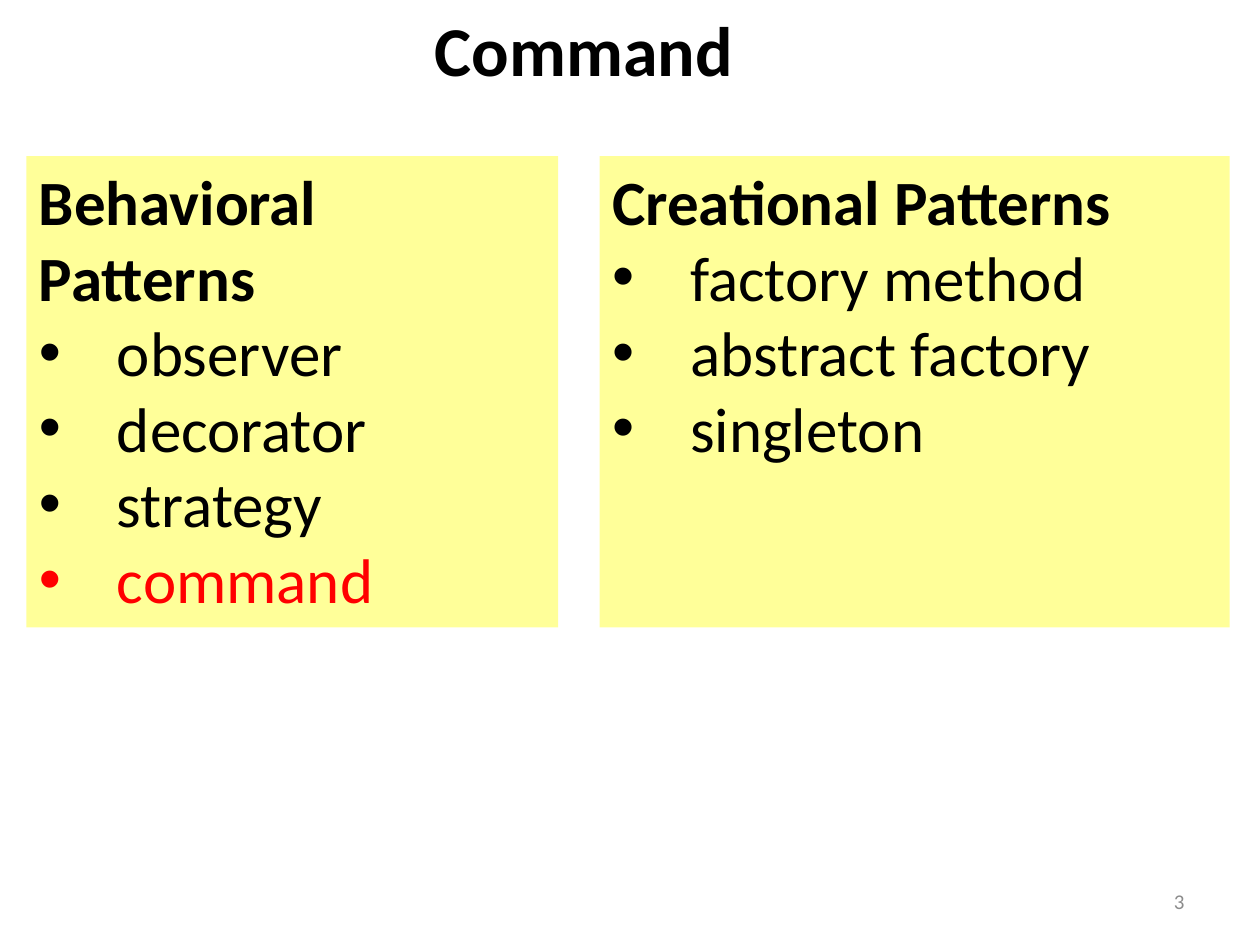
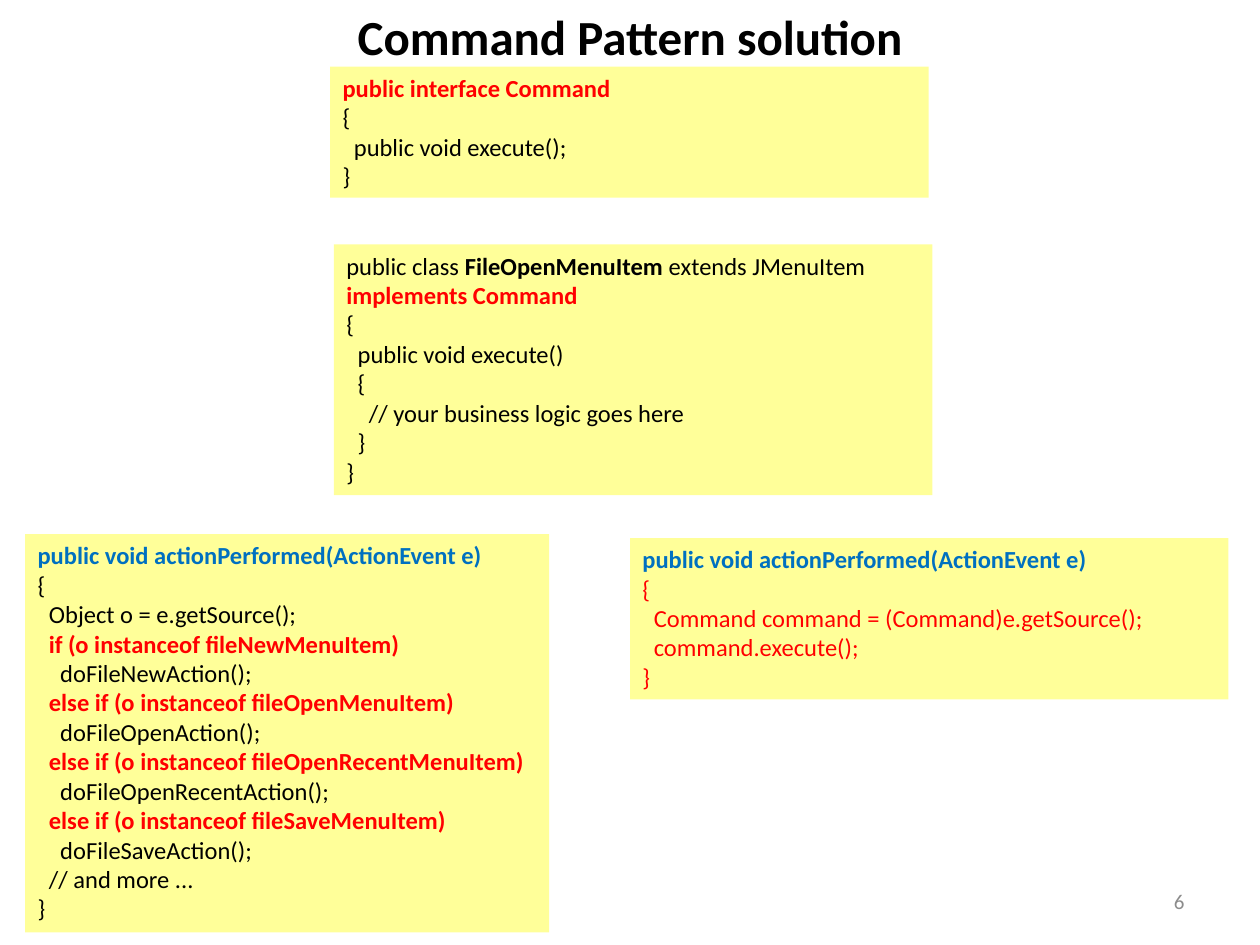
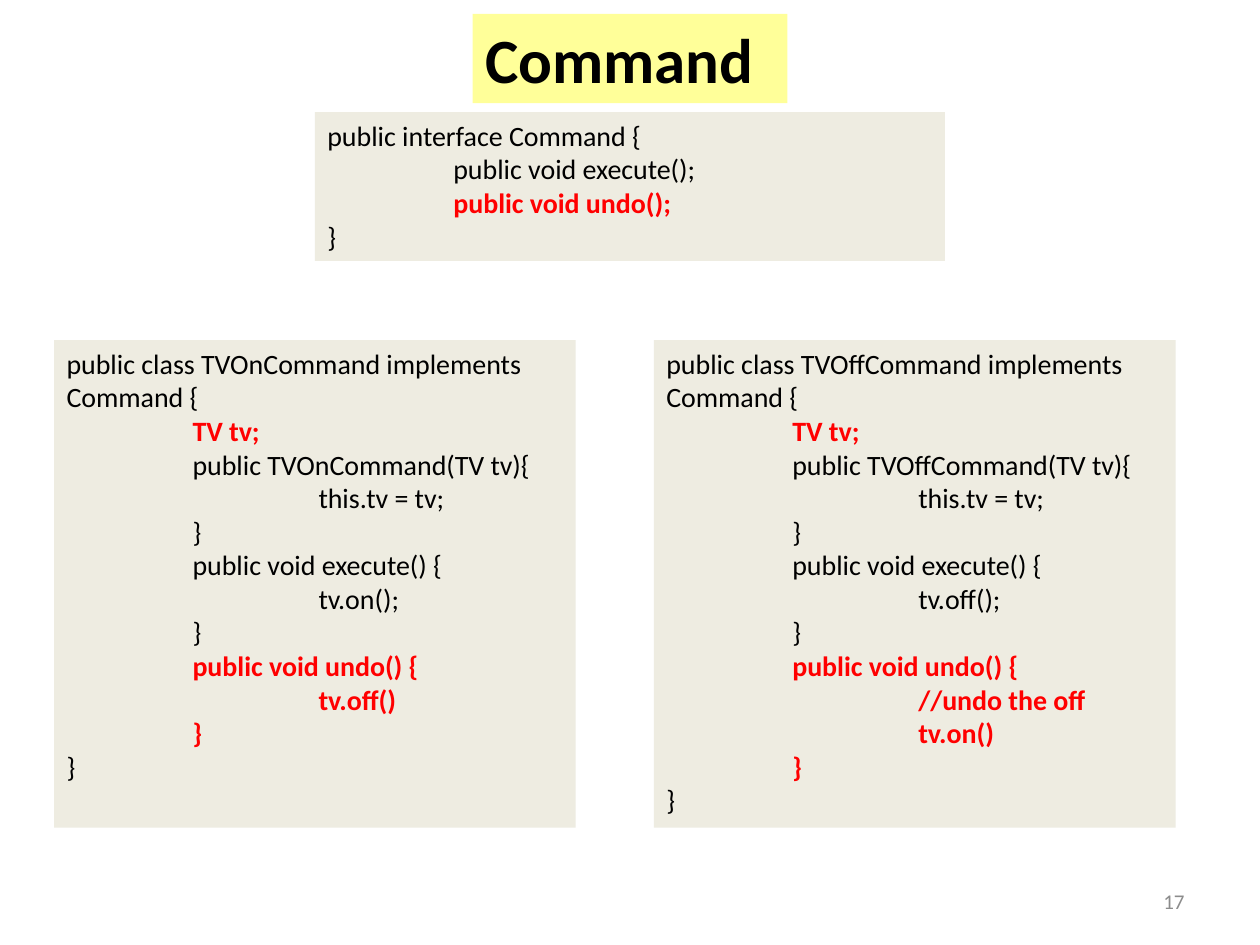
from pptx import Presentation
from pptx.dml.color import RGBColor
from pptx.enum.shapes import MSO_SHAPE
from pptx.enum.text import MSO_ANCHOR, MSO_AUTO_SIZE, PP_ALIGN
from pptx.oxml.ns import qn
from pptx.util import Inches, Pt
from lxml import etree

RECTANGLE = MSO_SHAPE.RECTANGLE
TOP, MIDDLE = MSO_ANCHOR.TOP, MSO_ANCHOR.MIDDLE
FIXED_SIZE = MSO_AUTO_SIZE.NONE
LEFT, CENTER, RIGHT = PP_ALIGN.LEFT, PP_ALIGN.CENTER, PP_ALIGN.RIGHT

FONT = "Calibri"
COLORS = {
    "black": "000000",
    "red": "FF0000",
    "blue": "0070C0",
    "gray": "8C8C8C",
    "yellow": "FFFF99",
    "beige": "EEECE1",
}
STYLES = {
    "plain": ("black", False),
    "strong": ("black", True),
    "red": ("red", False),
    "key": ("red", True),
    "method": ("blue", True),
    "number": ("gray", False),
}
BULLET_INDENT = 0.62
NUMBER_BOX = (7.17, 6.95, 2.33, 0.4)


def pattern_list(heading, patterns, current=None):
    return [(0, "strong", heading)] + [
        ("bullet", "red" if name == current else "plain", name) for name in patterns
    ]


def tv_class(name, action, undo):
    return [
        (0, "plain", f"public class {name} implements Command {{"),
        (1, "key", "TV tv;"),
        (1, "plain", f"public {name}(TV tv){{"),
        (2, "plain", "this.tv = tv;"),
        (1, "plain", "}"),
        (1, "plain", "public void execute() {"),
        (2, "plain", action),
        (1, "plain", "}"),
        (1, "key", "public void undo() {"),
        *[(2, "key", step) for step in undo],
        (1, "key", "}"),
        (0, "plain", "}"),
    ]


def menu_branches(actions):
    lines = []
    for position, action in enumerate(actions):
        prefix = "else if" if position else "if"
        lines.append((1, "key", f"{prefix} (o instanceof file{action}MenuItem)"))
        lines.append((2, "plain", f"doFile{action}Action();"))
    return lines


HANDLER = (0, "method", "public void actionPerformed(ActionEvent e)")

SLIDES = [
    {
        "number": "3",
        "title": ("Command", (3.35, 0, 2.59, 0.77), 40, LEFT, None),
        "size": 36,
        "indent": 0,
        "fill": "yellow",
        "boxes": [
            ((0.21, 1.24, 4.22, 3.74), pattern_list(
                "Behavioral Patterns",
                ["observer", "decorator", "strategy", "command"], "command")),
            ((4.76, 1.24, 5, 3.74), pattern_list(
                "Creational Patterns",
                ["factory method", "abstract factory", "singleton"])),
        ],
    },
    {
        "number": "6",
        "title": ("Command Pattern solution", (2.71, 0, 4.58, 0.57), 28, CENTER, None),
        "size": 14,
        "indent": 0.09,
        "fill": "yellow",
        "boxes": [
            ((2.62, 0.53, 4.75, 1.04), [
                (0, "key", "public interface Command"),
                (0, "plain", "{"),
                (1, "plain", "public void execute();"),
                (0, "plain", "}"),
            ]),
            ((2.65, 1.94, 4.75, 1.99), [
                (0, "plain", "public class ", "strong", "FileOpenMenuItem",
                 "plain", " extends JMenuItem ", "key", "implements Command"),
                (0, "plain", "{"),
                (1, "plain", "public void execute()"),
                (1, "plain", "{"),
                (2, "plain", "// your business logic goes here"),
                (1, "plain", "}"),
                (0, "plain", "}"),
            ]),
            ((5, 4.27, 4.75, 1.28), [
                HANDLER,
                (0, "red", "{"),
                (1, "red", "Command command = (Command)e.getSource();"),
                (1, "red", "command.execute();"),
                (0, "red", "}"),
            ]),
            ((0.2, 4.24, 4.16, 3.16), [
                HANDLER,
                (0, "plain", "{"),
                (1, "plain", "Object o = e.getSource();"),
                *menu_branches(["New", "Open", "OpenRecent", "Save"]),
                (1, "plain", "// and more ..."),
                (0, "plain", "}"),
            ]),
        ],
    },
    {
        "number": "17",
        "title": ("Command", (3.75, 0.11, 2.5, 0.71), 36, LEFT, "yellow"),
        "size": 16,
        "indent": 1,
        "fill": "beige",
        "boxes": [
            ((2.5, 0.89, 5, 1.18), [
                (0, "plain", "public interface Command {"),
                (1, "plain", "public void execute();"),
                (1, "key", "public void undo();"),
                (0, "plain", "}"),
            ]),
            ((0.43, 2.7, 4.14, 3.87),
             tv_class("TVOnCommand", "tv.on();", ["tv.off()"])),
            ((5.19, 2.7, 4.14, 3.87),
             tv_class("TVOffCommand", "tv.off();", ["//undo the off", "tv.on()"])),
        ],
    },
]


def set_all(target, values):
    for attribute, value in values.items():
        setattr(target, attribute, value)


def paint(shape, color):
    shape.fill.solid()
    shape.fill.fore_color.rgb = RGBColor.from_string(COLORS[color])


def indent_line(paragraph, depth, step):
    properties = paragraph._p.get_or_add_pPr()
    if depth == "bullet":
        properties.set("marL", str(Inches(BULLET_INDENT)))
        properties.set("indent", str(-Inches(BULLET_INDENT)))
        etree.SubElement(properties, qn("a:buFont")).set("typeface", "Arial")
        etree.SubElement(properties, qn("a:buChar")).set("char", "•")
    elif depth:
        properties.set("marL", str(Inches(depth * step)))
        properties.set("indent", "0")


def write(shape, lines, size, step=0, align=LEFT, anchor=TOP):
    frame = shape.text_frame
    set_all(frame, {
        "word_wrap": True,
        "auto_size": FIXED_SIZE,
        "vertical_anchor": anchor,
        "margin_left": Inches(0.1),
        "margin_right": Inches(0.1),
        "margin_top": Inches(0.05),
        "margin_bottom": Inches(0.05),
    })
    for position, (depth, *parts) in enumerate(lines):
        paragraph = frame.add_paragraph() if position else frame.paragraphs[0]
        paragraph.alignment = align
        indent_line(paragraph, depth, step)
        for style, text in zip(parts[::2], parts[1::2]):
            color, bold = STYLES[style]
            run = paragraph.add_run()
            run.text = text
            set_all(run.font, {"name": FONT, "size": Pt(size), "bold": bold})
            run.font.color.rgb = RGBColor.from_string(COLORS[color])


def add_title(slide, text, box, size, align, fill):
    title = slide.shapes.title
    set_all(title, dict(zip(("left", "top", "width", "height"), map(Inches, box))))
    if fill:
        paint(title, fill)
    write(title, [(0, "strong", text)], size, align=align)


def add_panel(slide, box, lines, content):
    panel = slide.shapes.add_shape(RECTANGLE, *map(Inches, box))
    panel.shadow.inherit = False
    panel.line.fill.background()
    paint(panel, content["fill"])
    write(panel, lines, content["size"], content["indent"])


deck = Presentation()
set_all(deck, {"slide_width": Inches(10), "slide_height": Inches(7.5)})
title_only = deck.slide_layouts[5]

for content in SLIDES:
    slide = deck.slides.add_slide(title_only)
    add_title(slide, *content["title"])
    for box, lines in content["boxes"]:
        add_panel(slide, box, lines, content)
    number = slide.shapes.add_textbox(*map(Inches, NUMBER_BOX))
    write(number, [(0, "number", content["number"])], 12, align=RIGHT, anchor=MIDDLE)

deck.save("out.pptx")
